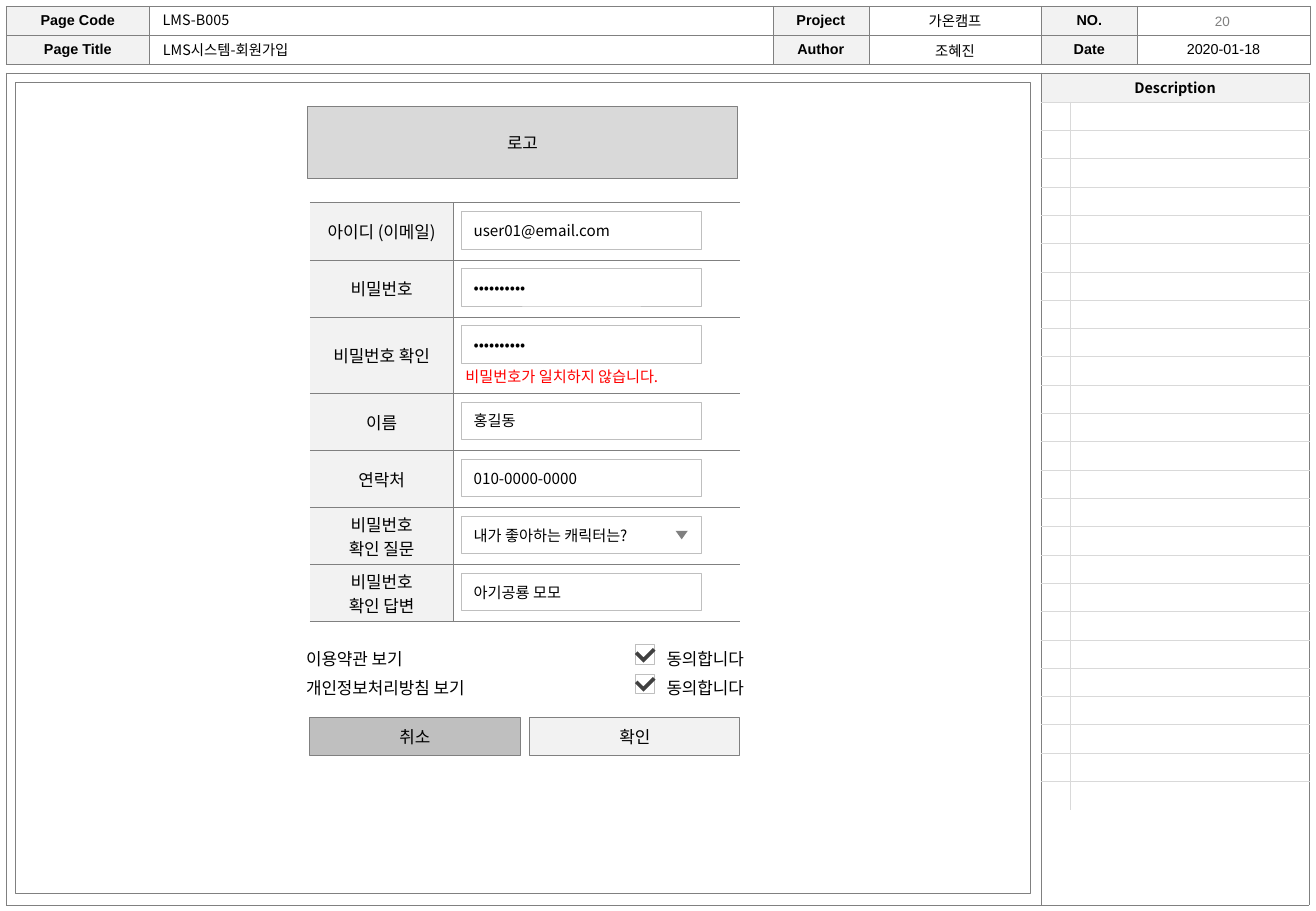
from lxml import etree
from pptx import Presentation
from pptx import util as u
from pptx.dml import color
from pptx.enum import shapes, text
from pptx.oxml import ns

COLORS = {"ink": "000000", "line": "808080", "field": "BFBFBF", "rule": "D9D9D9",
          "label": "F2F2F2", "white": "FFFFFF", "error": "FF0000",
          "number": "7F7F7F", "tick": "404040"}
HANGUL = "Noto Sans CJK KR"
ALIGN = {"l": text.PP_ALIGN.LEFT, "c": text.PP_ALIGN.CENTER, "r": text.PP_ALIGN.RIGHT}
ANCHOR = {"t": text.MSO_ANCHOR.TOP, "m": text.MSO_ANCHOR.MIDDLE, "b": text.MSO_ANCHOR.BOTTOM}
RECT = shapes.MSO_SHAPE.RECTANGLE


def rgb(name):
    """Return the named palette colour."""
    return color.RGBColor.from_string(COLORS[name])


def write(frame, words, size=10, font=HANGUL, ink="ink", bold=False, align="l",
          anchor="m", spacing=None, wrap=True):
    """Fill a text frame, one paragraph per line of words."""
    frame.word_wrap = wrap
    frame.vertical_anchor = ANCHOR[anchor]
    for index, line in enumerate(words.split("\n")):
        paragraph = frame.add_paragraph() if index else frame.paragraphs[0]
        paragraph.alignment = ALIGN[align]
        if spacing:
            paragraph.line_spacing = spacing
        run = paragraph.add_run()
        run.text = line
        run.font.size, run.font.bold = u.Pt(size), bold
        run.font.color.rgb = rgb(ink)
        run.font.name = font
        etree.SubElement(run.font._element, ns.qn("a:ea"), typeface=HANGUL)


def add_label(slide, box, words, **style):
    """Add a text box."""
    label = slide.shapes.add_textbox(*map(u.Inches, box))
    write(label.text_frame, words, **style)


def paint_block(block, fill, line=None, turn=0):
    """Give a shape a flat fill, an optional outline and a rotation."""
    block.shadow.inherit = False
    block.rotation = turn
    block.fill.solid()
    block.fill.fore_color.rgb = rgb(fill)
    if line:
        block.line.color.rgb = rgb(line)
        block.line.width = u.Pt(0.5)
    else:
        block.line.fill.background()


def add_block(slide, box, fill, line=None, words="", kind=RECT, turn=0, **style):
    """Add a flat preset shape with optional outline and text."""
    block = slide.shapes.add_shape(kind, *map(u.Inches, box))
    paint_block(block, fill, line, turn)
    if words:
        write(block.text_frame, words, **style)


def add_tick(slide, left, top):
    """Add a check mark as a turned L outline."""
    outline = [(0.03, 0), (0.03, 0.07), (0.14, 0.07), (0.14, 0.1), (0, 0.1)]
    builder = slide.shapes.build_freeform(u.Inches(left), u.Inches(top))
    builder.add_line_segments([(u.Inches(left + x), u.Inches(top + y)) for x, y in outline])
    paint_block(builder.convert_to_shape(), "tick", turn=315)


def add_grid(slide, left, top, widths, heights):
    """Add a table with the given column widths and row heights."""
    grid = slide.shapes.add_table(len(heights), len(widths), *map(
        u.Inches, (left, top, sum(widths), sum(heights)))).table
    grid.first_row = grid.horz_banding = False
    for column, width in zip(grid.columns, widths):
        column.width = u.Inches(width)
    for row, height in zip(grid.rows, heights):
        row.height = u.Inches(height)
    return grid


def fill_cell(cell, words="", fill=None, sides="LRTB", line="line", weight=0.5,
              inset=0.1, **style):
    """Set the fill, borders, margins and text of a table cell."""
    cell.margin_left = cell.margin_right = u.Inches(inset)
    cell.margin_top = cell.margin_bottom = 0
    if fill:
        cell.fill.solid()
        cell.fill.fore_color.rgb = rgb(fill)
    else:
        cell.fill.background()
    for index, side in enumerate("LRTB"):
        border = etree.Element(ns.qn(f"a:ln{side}"), w=str(u.Pt(weight)))
        if side in sides:
            paint = etree.SubElement(border, ns.qn("a:solidFill"))
            etree.SubElement(paint, ns.qn("a:srgbClr"), val=COLORS[line])
        else:
            etree.SubElement(border, ns.qn("a:noFill"))
        cell._tc.get_or_add_tcPr().insert(index, border)
    if words:
        write(cell.text_frame, words, **style)
        cell.vertical_anchor = ANCHOR[style.get("anchor", "m")]
    else:
        etree.SubElement(cell.text_frame.paragraphs[0]._p, ns.qn("a:endParaRPr"), sz="600")


def build_header(slide, left, top):
    """Build the page details and the title."""
    rows = [("Page Code", "", "Project", "가온캠프", "NO.", ""),
            ("Page Title", "", "Author", "조혜진", "Date", "2020-01-18")]
    height = 0.24
    grid = add_grid(slide, left, top, [1.18, 5.13, 0.79, 1.42, 0.79, 1.42], [height] * 2)
    for r, row in enumerate(rows):
        for c, words in enumerate(row):
            is_name = c % 2 == 0
            fill_cell(grid.cell(r, c), words, fill="label" if is_name else None,
                      weight=0.25, inset=0.04, size=8.5, font="Arial",
                      bold=is_name, align="c")
    add_label(slide, (left + 9.3, top, 1.42, height), "20",
              size=8, font="Arial", ink="number", align="c")
    add_label(slide, (left + 1.19, top - 0.01, 5.12, height), "LMS-B005", size=8.5)
    title = slide.shapes.title
    title.left, title.top, title.width, title.height = map(
        u.Inches, (left + 1.19, top + height, 5.12, height))
    write(title.text_frame, "LMS시스템-회원가입", size=8.5)


def build_frame(slide, left, top):
    """Build the screen area and the description column."""
    screen, notes, head = 8.52, 2.2, 0.24
    grid = add_grid(slide, left, top, [screen, notes], [head, 6.61])
    fill_cell(grid.cell(0, 0), sides="LRT", weight=0.25)
    fill_cell(grid.cell(0, 1), "Description", fill="label", weight=0.25,
              size=8.5, bold=True, align="c")
    fill_cell(grid.cell(1, 0), sides="LRB", weight=0.25)
    fill_cell(grid.cell(1, 1), weight=0.25)
    add_block(slide, (left + 0.08, top + 0.08, 8.35, 6.68), "white", "line")
    count = 25
    lines = add_grid(slide, left + screen, top + head, [0.24, 1.97], [5.83 / count] * count)
    for r in range(count):
        bottom = "B" if r < count - 1 else ""
        for c, side in enumerate("RL"):
            fill_cell(lines.cell(r, c), sides=side + "T" + bottom, line="rule")


def build_form(slide, left, top):
    """Build the sign-up table with its input fields."""
    dots = "•" * 10
    rows = [("아이디 (이메일)", "user01@email.com"), ("비밀번호", dots),
            ("비밀번호 확인", dots), ("이름", "홍길동"), ("연락처", "010-0000-0000"),
            ("비밀번호\n확인 질문", "내가 좋아하는 캐릭터는?"),
            ("비밀번호\n확인 답변", "아기공룡 모모")]
    warnings = {2: "비밀번호가 일치하지 않습니다."}
    heights = [0.63 if r in warnings else 0.47 for r in range(len(rows))]
    grid = add_grid(slide, left, top, [1.18, 2.36], heights)
    for r, (name, value) in enumerate(rows):
        fill_cell(grid.cell(r, 0), name, fill="label", sides="RTB", align="c")
        entry = grid.cell(r, 1)
        fill_cell(entry, warnings.get(r, ""), sides="LTB", size=9, ink="error", anchor="b")
        entry.margin_bottom = u.Inches(0.05)
        field_top = top + sum(heights[:r]) + 0.07
        add_block(slide, (left + 1.25, field_top, 1.97, 0.31), "white", "field", value, size=9)
        if value.endswith("?"):
            add_block(slide, (left + 3.01, field_top + 0.12, 0.1, 0.07), "line",
                      kind=shapes.MSO_SHAPE.ISOSCELES_TRIANGLE, turn=180)


def build_terms(slide, left, top):
    """Build the two agreement lines with ticked boxes."""
    style = {"spacing": 1.5, "wrap": False, "anchor": "t"}
    for index, (terms, width) in enumerate([("이용약관 보기", 1.09), ("개인정보처리방침 보기", 1.65)]):
        y = top + index * 0.24
        add_label(slide, (left, y, width, 0.32), terms, **style)
        add_label(slide, (left + 2.9, y, 0.9, 0.32), "동의합니다", align="r", **style)
        add_block(slide, (left + 2.81, y + 0.1, 0.16, 0.16), "white", "field")
        add_tick(slide, left + 2.82, y + 0.11)


def build_buttons(slide, left, top):
    """Build the cancel and confirm buttons."""
    for index, (words, fill) in enumerate([("취소", "field"), ("확인", "label")]):
        add_block(slide, (left + index * 1.81, top, 1.73, 0.31), fill, "line",
                  words, align="c")


def main():
    """Build the sign-up page and save it."""
    deck = Presentation()
    deck.slide_width, deck.slide_height = u.Inches(10.83), u.Inches(7.5)
    slide = deck.slides.add_slide(deck.slide_layouts[5])
    build_header(slide, 0.05, 0.05)
    build_frame(slide, 0.05, 0.6)
    add_block(slide, (2.53, 0.88, 3.54, 0.59), "rule", "line", "로고", align="c")
    build_form(slide, 2.55, 1.67)
    build_terms(slide, 2.42, 5.21)
    build_buttons(slide, 2.55, 5.91)
    deck.save("out.pptx")


if __name__ == "__main__":
    main()
